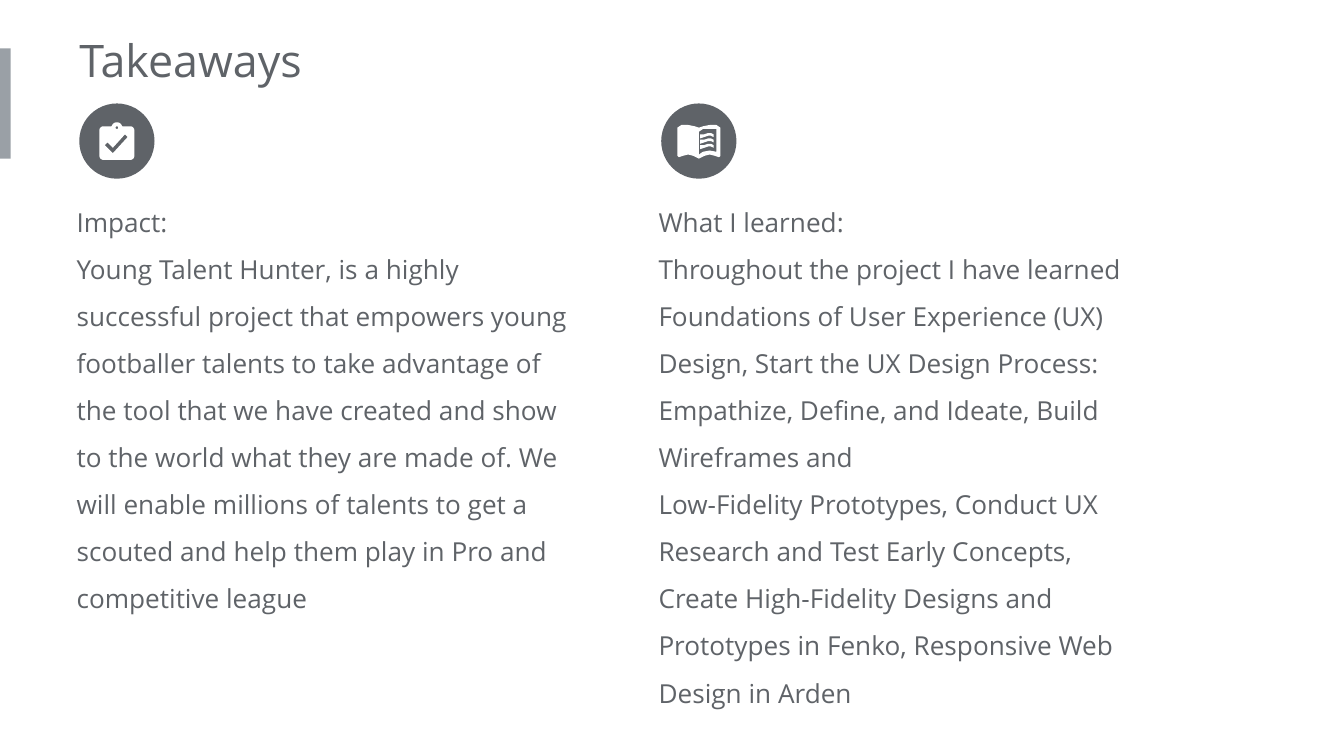
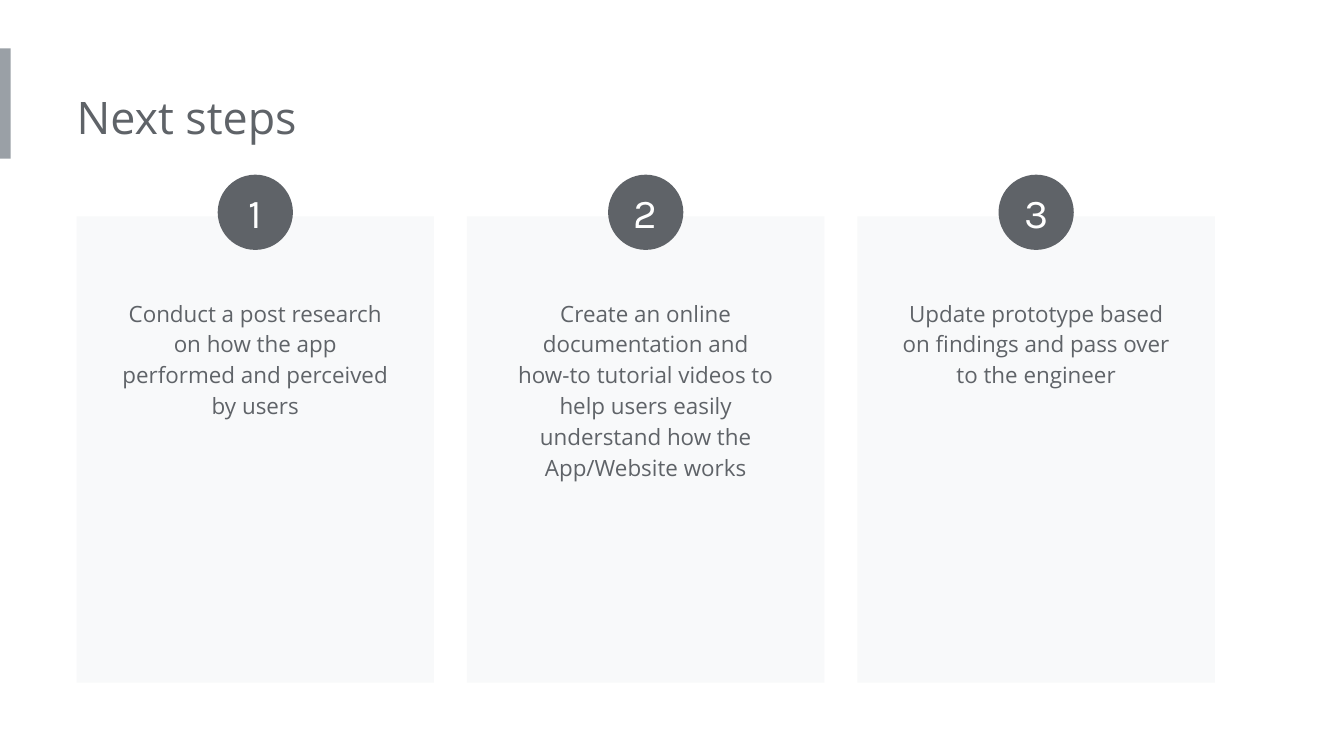
from math import cos, radians, sin

from pptx import Presentation
from pptx.dml.color import RGBColor
from pptx.enum.shapes import MSO_SHAPE as Shape
from pptx.enum.text import MSO_ANCHOR as Anchor, MSO_AUTO_SIZE as AutoSize, PP_ALIGN as Align
from pptx.util import Inches, Pt

WHITE = RGBColor(0xFF, 0xFF, 0xFF)
SLATE = RGBColor(0x5F, 0x63, 0x68)
GREY = RGBColor(0x9A, 0xA0, 0xA6)
PALE = RGBColor(0xF8, 0xF9, 0xFA)
LEFT = 0.57
BADGE = 0.56

IMPACT = [
    "Impact:",
    "Young Talent Hunter, is a highly successful project that empowers young footballer talents "
    "to take advantage of the tool that we have created and show to the world what they are made of. "
    "We will enable millions of talents to get a scouted and help them play in Pro and competitive league",
]
LEARNED = [
    "What I learned:",
    "Throughout the project I have learned Foundations of User Experience (UX) Design, "
    "Start the UX Design Process: Empathize, Deﬁne, and Ideate, Build Wireframes and",
    "Low-Fidelity Prototypes, Conduct UX Research and Test Early Concepts, "
    "Create High-Fidelity Designs and Prototypes in Fenko, Responsive Web Design in Arden",
]
STEPS = [
    ["Conduct a post research", "on how the app", "performed and perceived", "by users"],
    ["Create an online", "documentation and", "how-to tutorial videos to",
     "help users easily", "understand how the", "App/Website works"],
    ["Update prototype based", "on findings and pass over", "to the engineer"],
]


def write(frame, lines, size=14, font="Open Sans", color=SLATE, align=Align.LEFT, spacing=1):
    frame.word_wrap = True
    for index, line in enumerate(lines):
        para = frame.paragraphs[0] if index == 0 else frame.add_paragraph()
        para.alignment = align
        para.line_spacing = spacing
        span = para.add_run()
        span.text = line
        span.font.size = Pt(size)
        span.font.name = font
        span.font.color.rgb = color


def arc(x, y, radius, start, end, steps=12):
    angles = [radians(start + (end - start) * step / steps) for step in range(steps + 1)]
    return [(x + radius * cos(angle), y + radius * sin(angle)) for angle in angles]


class SlideMaker:
    """Holds the deck style and the page being drawn."""

    def __init__(self):
        self.deck = Presentation()
        self.deck.slide_width = Inches(10)
        self.deck.slide_height = Inches(5.625)
        self.page = None

    def new_page(self, title, left, top):
        self.page = self.deck.slides.add_slide(self.deck.slide_layouts[6])
        self.shape(Shape.RECTANGLE, 0, 0.36, 0.08, 0.82, GREY)
        self.text([title], left, top, 5.39, 0.61, size=24)

    def paint(self, shape, color):
        shape.shadow.inherit = False
        shape.fill.solid()
        shape.fill.fore_color.rgb = color
        shape.line.fill.background()
        return shape

    def shape(self, kind, left, top, width, height, color):
        bounds = map(Inches, (left, top, width, height))
        return self.paint(self.page.shapes.add_shape(kind, *bounds), color)

    def text(self, lines, left, top, width, height, inset=0, **style):
        box = self.page.shapes.add_textbox(*map(Inches, (left, top, width, height)))
        frame = box.text_frame
        frame.margin_left = Inches(inset)
        frame.margin_right = frame.margin_top = frame.margin_bottom = Inches(0.1)
        write(frame, lines, **style)
        frame.auto_size = AutoSize.SHAPE_TO_FIT_TEXT

    def badge(self, left, top, label=None):
        circle = self.shape(Shape.OVAL, left, top, BADGE, BADGE, SLATE)
        if label:
            frame = circle.text_frame
            frame.margin_left = frame.margin_right = frame.margin_top = frame.margin_bottom = 0
            frame.vertical_anchor = Anchor.MIDDLE
            write(frame, [label], size=22, font="Karla", color=WHITE, align=Align.CENTER)

    def outline(self, *contours):
        builder = None
        for contour in contours:
            points = [(Inches(x), Inches(y)) for x, y in contour]
            if builder is None:
                builder = self.page.shapes.build_freeform(*points[0])
            else:
                builder.move_to(*points[0])
            builder.add_line_segments(points[1:], close=True)
        self.paint(builder.convert_to_shape(), WHITE)

    def clipboard(self):
        board = (arc(0.87, 0.95, 0.04, 195, 345) + arc(0.97, 0.97, 0.03, 270, 360)
                 + arc(0.97, 1.16, 0.03, 0, 90) + arc(0.77, 1.16, 0.03, 90, 180)
                 + arc(0.77, 0.97, 0.03, 180, 270))
        hole = arc(0.87, 0.95, 0.01, 0, 360)
        tick = [(0.84, 1.14), (0.78, 1.08), (0.8, 1.06), (0.84, 1.1), (0.93, 1), (0.95, 1.02)]
        self.outline(board, hole, tick)

    def book(self):
        spine = 5.2
        half = [(0, 0.95), (0.03, 0.94), (0.08, 0.93), (0.13, 0.93), (0.16, 0.95), (0.16, 1.16),
                (0.15, 1.17), (0.12, 1.16), (0.08, 1.15), (0.04, 1.16), (0, 1.18)]
        cover = ([(spine + x, y) for x, y in half]
                 + [(spine - x, y) for x, y in reversed(half)])
        leaf = [(5.2, 0.98), (5.23, 0.96), (5.28, 0.96), (5.33, 0.96),
                (5.33, 1.13), (5.28, 1.12), (5.23, 1.13), (5.2, 1.15)]
        stripe = [(5.21, 1), (5.24, 1), (5.27, 0.99), (5.29, 0.99), (5.31, 1),
                  (5.31, 1.02), (5.29, 1.01), (5.27, 1.01), (5.24, 1.02), (5.21, 1.03)]
        self.outline(cover, leaf)
        for row in range(3):
            self.outline([(x, y + 0.04 * row) for x, y in stripe])

    def card(self, left, number, lines):
        width = 2.66
        self.shape(Shape.RECTANGLE, left, 1.61, width, 3.47, PALE)
        self.text(lines, left + 0.21, 2.1, width - 0.42, 0.2 + 0.23 * len(lines), inset=0.1,
                  size=12, align=Align.CENTER, spacing=1.15)
        self.badge(left + (width - BADGE) / 2, 1.3, str(number))


def main():
    maker = SlideMaker()

    maker.new_page("Takeaways", 0.59, 0.14)
    columns = [(LEFT, 3.74, IMPACT, maker.clipboard), (4.9, 4.09, LEARNED, maker.book)]
    for left, height, lines, icon in columns:
        maker.text(lines, left, 1.32, 3.77, height, spacing=1.5)
        maker.badge(left + 0.02, 0.77)
        icon()

    maker.new_page("Next steps", LEFT, 0.57)
    pitch = (6.38 - LEFT) / 2
    for index, lines in enumerate(STEPS):
        maker.card(LEFT + pitch * index, index + 1, lines)

    maker.deck.save("out.pptx")


if __name__ == "__main__":
    main()
